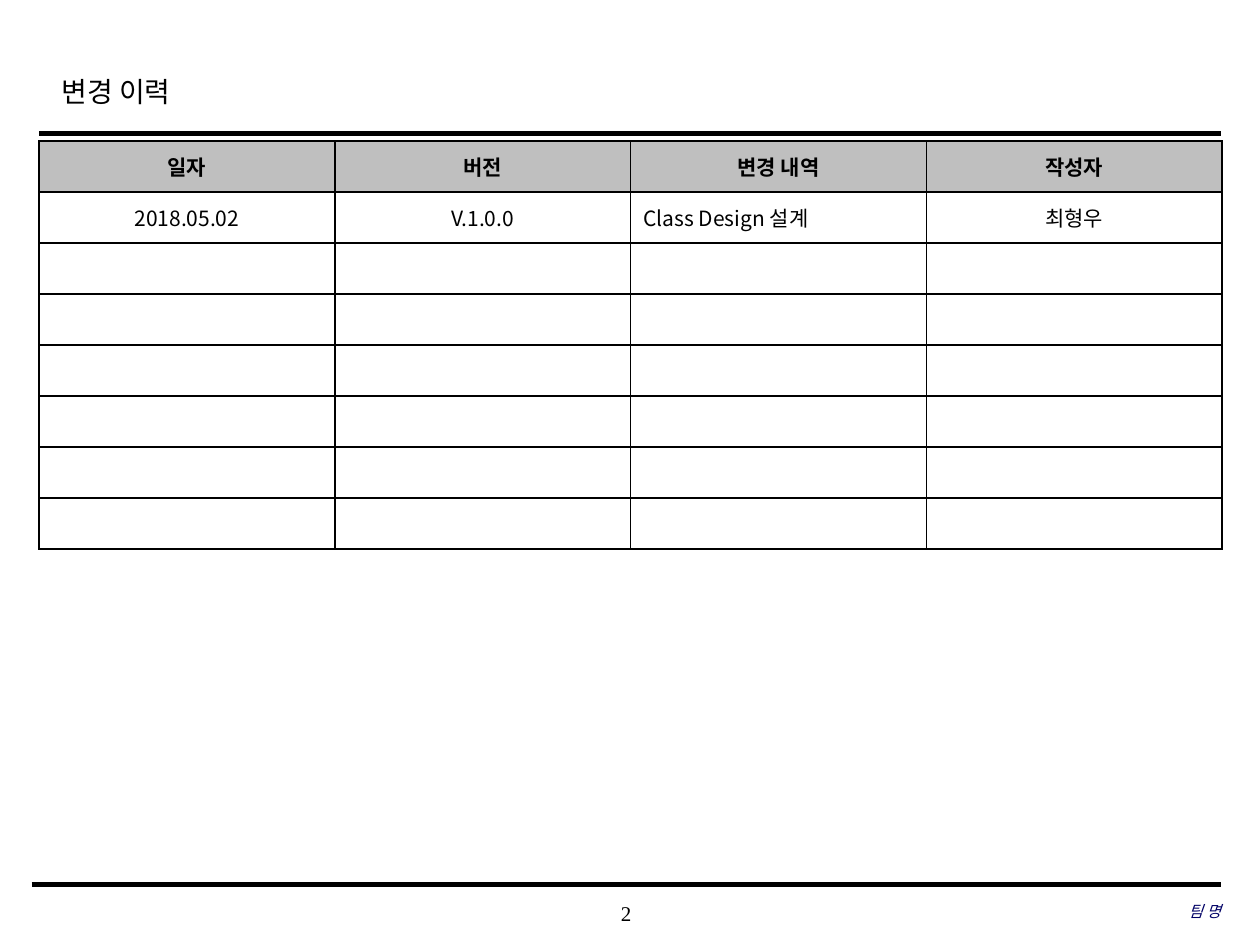
"""Build the change history slide with its table, rules and footer."""
from lxml import etree
from pptx import Presentation
from pptx.dml.color import RGBColor
from pptx.enum import shapes, text
from pptx.oxml import ns
from pptx.util import Inches, Pt

BLACK = RGBColor(0, 0, 0)
NAVY = RGBColor(0, 0, 0x66)
GRAY = RGBColor(0xBF, 0xBF, 0xBF)
WHITE = RGBColor(255, 255, 255)
SERIF, SANS = "Times New Roman", "Noto Sans CJK KR"
LEFT, CENTER, RIGHT = (text.PP_ALIGN.LEFT, text.PP_ALIGN.CENTER,
                       text.PP_ALIGN.RIGHT)
TOP, MIDDLE = text.MSO_ANCHOR.TOP, text.MSO_ANCHOR.MIDDLE

HEADERS = ["일자", "버전", "변경 내역", "작성자"]
ENTRIES = [["2018.05.02", "V.1.0.0", "Class Design 설계", "최형우"]]
ROW_COUNT = 8
DETAIL_COLUMN = 2
TABLE_AREA = (0.31, 1.12, 9.39, 3.24)
RULES = [(0.31, 1.06, 2.5), (0.25, 7.02, 3)]
RULE_END = 9.69
LABELS = [
    {"words": "변경 이력", "area": (0.39, 0.49, 7.55, 0.5), "align": LEFT,
     "anchor": TOP, "margins": (0.1, 0.05), "spacing": 1.2,
     "font": {"size": Pt(16)}, "color": BLACK},
    {"words": "2", "area": (3.93, 7.08, 2.08, 0.33), "align": CENTER,
     "anchor": MIDDLE, "margins": (0, 0), "spacing": 1.0,
     "font": {"size": Pt(12)}, "color": BLACK},
    {"words": "팀 명", "area": (6.63, 7.07, 3.06, 0.33), "align": RIGHT,
     "anchor": MIDDLE, "margins": (0, 0), "spacing": 1.0,
     "font": {"size": Pt(9), "italic": True}, "color": NAVY},
]


def write(para, words, align, color, font):
    para.alignment = align
    span = para.add_run()
    span.text = words
    for name, value in font.items():
        setattr(span.font, name, value)
    span.font.color.rgb = color
    east = etree.SubElement(span.font._element, ns.qn("a:ea"))
    east.set("typeface", SANS)


def add_label(page, label):
    box = page.shapes.add_textbox(*map(Inches, label["area"]))
    frame = box.text_frame
    side, edge = map(Inches, label["margins"])
    settings = {"word_wrap": True, "vertical_anchor": label["anchor"],
                "margin_left": side, "margin_right": side,
                "margin_top": edge, "margin_bottom": edge}
    for name, value in settings.items():
        setattr(frame, name, value)
    para = frame.paragraphs[0]
    para.line_spacing = label["spacing"]
    write(para, label["words"], label["align"], label["color"],
          {"name": SERIF, **label["font"]})


def add_rule(page, left, top, weight):
    rule = page.shapes.add_connector(
        shapes.MSO_CONNECTOR.STRAIGHT, Inches(left), Inches(top),
        Inches(RULE_END), Inches(top))
    rule.line.color.rgb = BLACK
    rule.line.width = Pt(weight)
    etree.SubElement(rule._element.spPr, ns.qn("a:effectLst"))


def add_borders(cell):
    properties = cell._tc.get_or_add_tcPr()
    for position, side in enumerate(("lnL", "lnR", "lnT", "lnB")):
        border = etree.Element(ns.qn("a:" + side), w=str(Pt(1)))
        fill = etree.SubElement(border, ns.qn("a:solidFill"))
        etree.SubElement(fill, ns.qn("a:srgbClr"), val=str(BLACK))
        properties.insert(position, border)


def add_history(page):
    table = page.shapes.add_table(
        ROW_COUNT, len(HEADERS), *map(Inches, TABLE_AREA)).table
    blanks = [[""] * len(HEADERS)] * (ROW_COUNT - 1 - len(ENTRIES))
    for row, values in enumerate([HEADERS] + ENTRIES + blanks):
        for column, words in enumerate(values):
            cell = table.cell(row, column)
            cell.vertical_anchor = MIDDLE
            cell.fill.solid()
            cell.fill.fore_color.rgb = WHITE if row else GRAY
            add_borders(cell)
            align = LEFT if row and column == DETAIL_COLUMN else CENTER
            write(cell.text_frame.paragraphs[0], words, align, BLACK,
                  {"name": SANS, "size": Pt(12), "bold": row == 0})


deck = Presentation()
deck.slide_width, deck.slide_height = Inches(10), Inches(7.5)
page = deck.slides.add_slide(deck.slide_layouts[6])
for rule in RULES:
    add_rule(page, *rule)
for label in LABELS:
    add_label(page, label)
add_history(page)
deck.save("out.pptx")
